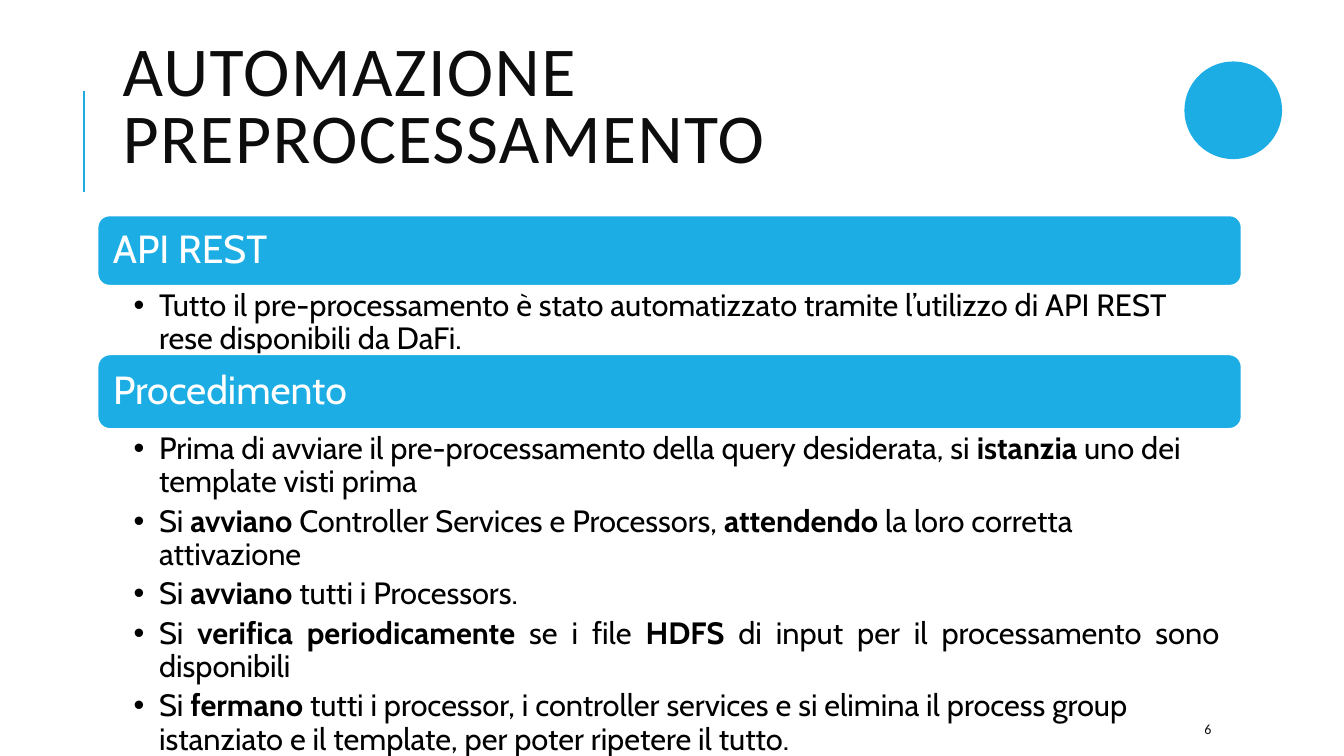
from dataclasses import dataclass

from lxml.etree import SubElement
from pptx import Presentation
from pptx.dml.color import RGBColor
from pptx.enum.shapes import MSO_CONNECTOR as Connector, MSO_SHAPE as Preset
from pptx.enum.text import MSO_ANCHOR as Anchor, MSO_AUTO_SIZE as AutoSize, PP_ALIGN as Align
from pptx.oxml.ns import qn
from pptx.util import Cm, Pt


@dataclass(frozen=True)
class Theme:
    accent: RGBColor = RGBColor(0x1C, 0xAD, 0xE4)
    white: RGBColor = RGBColor(0xFF, 0xFF, 0xFF)
    black: RGBColor = RGBColor(0, 0, 0)
    ink: RGBColor = RGBColor(0x0D, 0x0D, 0x0D)
    title_font: str = "Calibri"
    body_font: str = "Cabin"
    title_size: int = 50
    heading_size: int = 28
    body_size: int = 22
    number_size: int = 10


class SlideBuilder:
    def __init__(self, slide, theme):
        self.slide = slide
        self.shapes = slide.shapes
        self.theme = theme

    def _frame(self, shape, anchor, insets=(0.25, 0.13, 0.25, 0.13)):
        frame = shape.text_frame
        frame.word_wrap = True
        frame.auto_size = AutoSize.NONE
        frame.vertical_anchor = anchor
        (frame.margin_left, frame.margin_top,
         frame.margin_right, frame.margin_bottom) = map(Cm, insets)
        return frame

    def _run(self, paragraph, text, font, size, color, bold=False):
        run = paragraph.add_run()
        run.text = text
        run.font.name, run.font.size, run.font.bold = font, Pt(size), bold
        run.font.color.rgb = color
        return run

    def _place(self, shape, *box):
        shape.left, shape.top, shape.width, shape.height = map(Cm, box)

    def title(self, text, *box):
        title = self.shapes.title
        self._place(title, *box)
        paragraph = self._frame(title, Anchor.MIDDLE).paragraphs[0]
        paragraph.alignment = Align.LEFT
        paragraph.line_spacing = 0.8
        run = self._run(paragraph, text, self.theme.title_font,
                        self.theme.title_size, self.theme.ink)
        run.font._element.set("spc", "100")

    def rule(self, x, top, bottom):
        line = self.shapes.add_connector(Connector.STRAIGHT, Cm(x), Cm(bottom), Cm(x), Cm(top))
        line.line.color.rgb = self.theme.accent
        line.line.width = Pt(1.5)
        SubElement(line._element.spPr, qn("a:effectLst"))

    def accent_shape(self, preset, *box):
        shape = self.shapes.add_shape(preset, *map(Cm, box))
        shape.shadow.inherit = False
        shape.fill.solid()
        shape.fill.fore_color.rgb = self.theme.accent
        shape.line.fill.background()
        return shape

    def heading(self, text, *box):
        bar = self.accent_shape(Preset.ROUNDED_RECTANGLE, *box)
        bar.line.color.rgb = self.theme.white
        bar.line.width = Pt(1.25)
        paragraph = self._frame(bar, Anchor.MIDDLE, (0.3, 0.3, 0.3, 0.3)).paragraphs[0]
        paragraph.alignment = Align.LEFT
        paragraph.line_spacing = 0.9
        self._run(paragraph, text, self.theme.body_font, self.theme.heading_size, self.theme.white)

    def bullets(self, placeholder_idx, items, *box):
        """Fill a body placeholder; *asterisks* mark bold words."""
        body = self.slide.placeholders[placeholder_idx]
        self._place(body, *box)
        frame = self._frame(body, Anchor.TOP, (0.91, 0.1, 0.56, 0.1))
        for i, (text, align) in enumerate(items):
            paragraph = frame.add_paragraph() if i else frame.paragraphs[0]
            paragraph.alignment = align
            paragraph.line_spacing = 0.9
            paragraph.space_before, paragraph.space_after = Pt(0), Pt(4.4)
            properties = paragraph._p.get_or_add_pPr()
            properties.set("marL", str(Cm(0.64)))
            properties.set("indent", str(-Cm(0.64)))
            SubElement(properties, qn("a:buChar")).set("char", "•")
            for part, words in enumerate(text.split("*")):
                self._run(paragraph, words, self.theme.body_font, self.theme.body_size,
                          self.theme.black, bold=part % 2 == 1)

    def page_number(self, text, *box):
        number = self.shapes.add_textbox(*map(Cm, box))
        paragraph = self._frame(number, Anchor.MIDDLE).paragraphs[0]
        self._run(paragraph, text, self.theme.title_font, self.theme.number_size, self.theme.ink)


# Content: heading, bar height, list height, list items
SECTIONS = [
    ("API REST", 1.77, 1.73, [
        ("Tutto il pre-processamento è stato automatizzato tramite l’utilizzo di API REST "
         "rese disponibili da DaFi.", Align.LEFT),
    ]),
    ("Procedimento", 1.88, 7.09, [
        ("Prima di avviare il pre-processamento della query desiderata, si *istanzia* uno dei "
         "template visti prima", Align.LEFT),
        ("Si *avviano* Controller Services e Processors, *attendendo* la loro corretta "
         "attivazione", Align.LEFT),
        ("Si *avviano* tutti i Processors.", Align.LEFT),
        ("Si *verifica periodicamente* se i file *HDFS* di input per il processamento sono "
         "disponibili", Align.JUSTIFY),
        ("Si *fermano* tutti i processor, i controller services e si elimina il process group "
         "istanziato e il template, per poter ripetere il tutto.", Align.LEFT),
    ]),
]
SECTION_LEFT, SECTION_TOP, SECTION_WIDTH = 2.46, 5.43, 28.83


def main():
    deck = Presentation()
    deck.slide_width, deck.slide_height = Cm(33.87), Cm(19.05)
    two_content = deck.slide_layouts[3]
    builder = SlideBuilder(deck.slides.add_slide(two_content), Theme())

    # Title area
    builder.rule(2.11, 2.29, 4.83)
    builder.title("AUTOMAZIONE PREPROCESSAMENTO", 2.84, 1.63, 27, 2.29)

    # Sections stacked one under another
    top = SECTION_TOP
    for idx, (heading, bar_height, list_height, items) in enumerate(SECTIONS, start=1):
        builder.heading(heading, SECTION_LEFT, top, SECTION_WIDTH, bar_height)
        top += bar_height
        builder.bullets(idx, items, SECTION_LEFT, top, SECTION_WIDTH, list_height)
        top += list_height

    # Corner disc and page number
    builder.accent_shape(Preset.OVAL, 29.85, 1.55, 2.46, 2.46)
    builder.page_number("6", 30.1, 17.98, 2.69, 0.76)

    deck.save("out.pptx")


if __name__ == "__main__":
    main()
